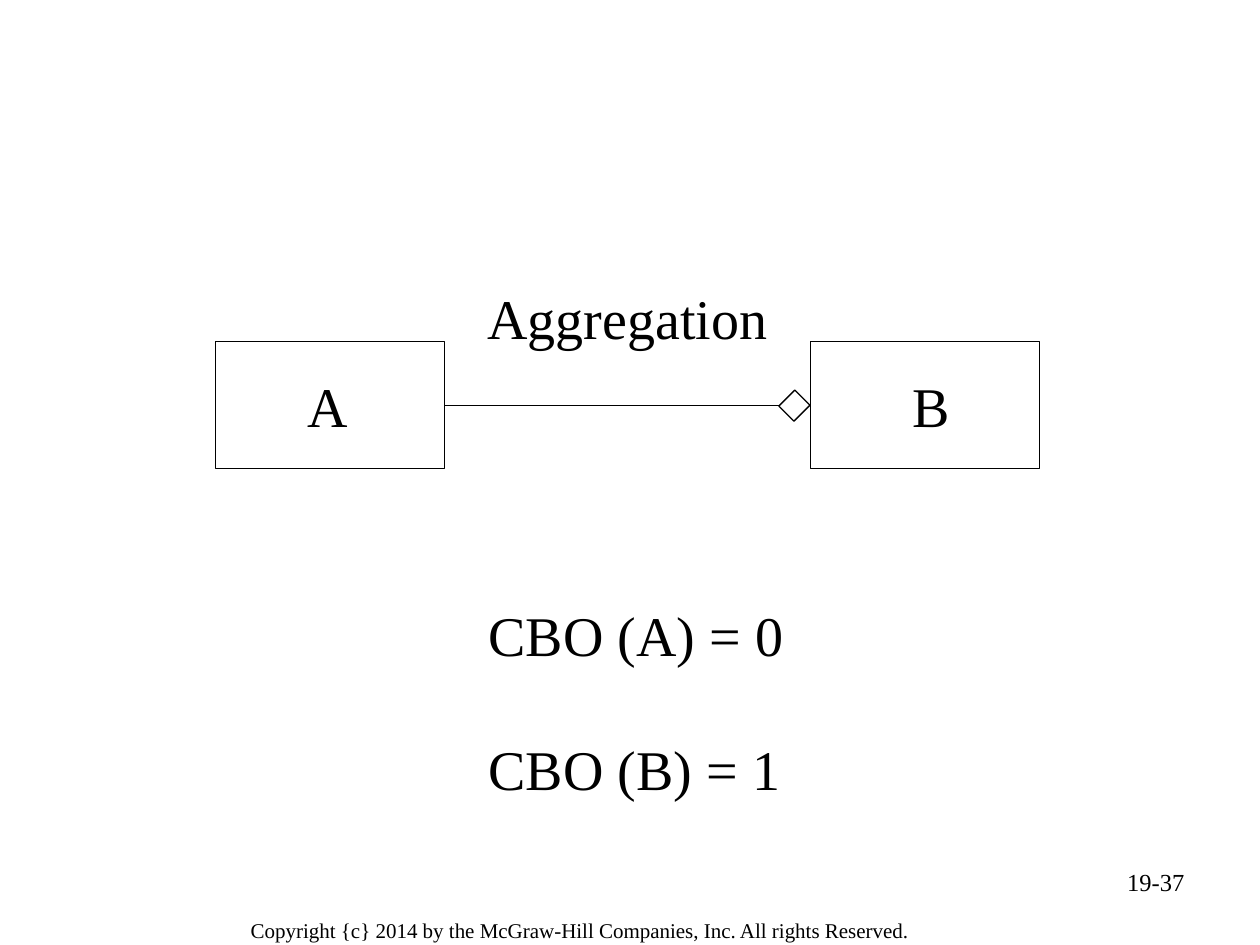
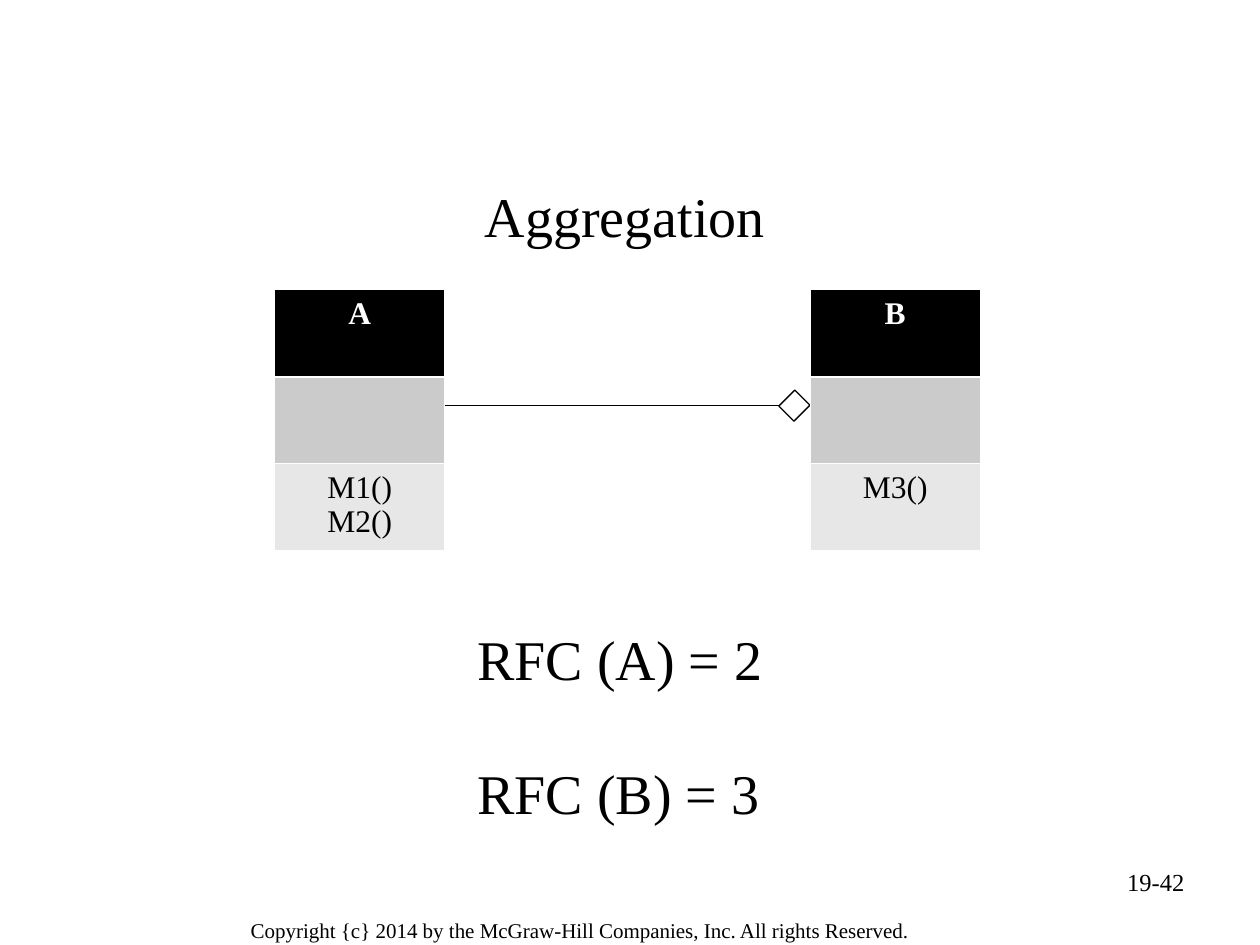
from dataclasses import dataclass

from lxml.etree import SubElement
from pptx import Presentation
from pptx.dml.color import RGBColor
from pptx.enum.shapes import MSO_CONNECTOR as Connector, MSO_SHAPE as Shape
from pptx.enum.text import MSO_AUTO_SIZE as AutoSize, PP_ALIGN as Align
from pptx.oxml.ns import qn
from pptx.util import Inches, Pt


@dataclass(frozen=True)
class Theme:
    font: str = "Times New Roman"
    ink: str = "000000"
    paper: str = "FFFFFF"
    attributes: str = "CBCBCB"
    methods: str = "E7E7E7"
    label_size: int = 32
    class_size: int = 18
    number_size: int = 14
    copyright_size: int = 12
    line: float = 0.75
    thin_border: float = 0.45
    header_border: float = 1.47
    result_gap: int = 38


THEME = Theme()
COPYRIGHT = ("Copyright {c} 2014 by the McGraw-Hill Companies, Inc. "
             "All rights Reserved.")

# Shared geometry of the class diagrams
A_RIGHT, B_LEFT, LINK_Y = 3.53, 6.43, 3.22
BOX_TOP, BOX_WIDTH, BOX_HEIGHT = 2.71, 1.82, 1.01
TABLE_TOP, TABLE_WIDTH, ROW_HEIGHT = 2.3, 1.35, 0.69


def rgb(color):
    return RGBColor.from_string(color)


def write(frame, lines, size=THEME.label_size, color=THEME.ink, bold=False,
          align=Align.LEFT, gap=0):
    """Fill a text frame, one paragraph per line."""
    for index, line in enumerate(lines):
        paragraph = frame.add_paragraph() if index else frame.paragraphs[0]
        paragraph.text = line
        paragraph.alignment = align
        if index:
            paragraph.space_before = Pt(gap)
        for run in paragraph.runs:
            run.font.name = THEME.font
            run.font.size = Pt(size)
            run.font.bold = bold
            run.font.color.rgb = rgb(color)


def add_text(slide, at, *lines, margins=(0.1, 0.05), **text_format):
    frame = slide.shapes.add_textbox(*map(Inches, at)).text_frame
    frame.word_wrap = True
    frame.auto_size = AutoSize.NONE
    frame.margin_left = frame.margin_right = Inches(margins[0])
    frame.margin_top = frame.margin_bottom = Inches(margins[1])
    write(frame, lines, **text_format)


def add_rectangle(slide, at, fill=None, rotation=0):
    rectangle = slide.shapes.add_shape(Shape.RECTANGLE, *map(Inches, at))
    rectangle.shadow.inherit = False
    rectangle.rotation = rotation
    rectangle.line.color.rgb = rgb(THEME.ink)
    rectangle.line.width = Pt(THEME.line)
    if fill:
        rectangle.fill.solid()
        rectangle.fill.fore_color.rgb = rgb(fill)
    else:
        rectangle.fill.background()


def add_link(slide):
    """Line from class A to class B."""
    link = slide.shapes.add_connector(
        Connector.STRAIGHT, Inches(A_RIGHT), Inches(LINK_Y),
        Inches(B_LEFT), Inches(LINK_Y))
    link.line.color.rgb = rgb(THEME.ink)
    link.line.width = Pt(THEME.line)
    outline = link.line._get_or_add_ln()
    SubElement(outline, qn("a:tailEnd"), type="triangle")
    SubElement(link._element.spPr, qn("a:effectLst"))


def add_diamond(slide):
    add_rectangle(slide, (6.22, 3.13, 0.17, 0.18), THEME.paper, rotation=45)


def add_border(cell, side, width):
    properties = cell._tc.get_or_add_tcPr()
    border = SubElement(properties, qn(f"a:ln{side}"), w=str(int(Pt(width))))
    paint = SubElement(border, qn("a:solidFill"))
    SubElement(paint, qn("a:srgbClr"), val=THEME.paper)


def add_class_table(slide, left, name, methods):
    """Class with a name row, an empty attribute row and a method row."""
    rows = [(name, THEME.ink, THEME.paper), ("", THEME.attributes, THEME.ink),
            (methods, THEME.methods, THEME.ink)]
    table = slide.shapes.add_table(
        len(rows), 1, Inches(left), Inches(TABLE_TOP),
        Inches(TABLE_WIDTH), Inches(ROW_HEIGHT * len(rows))).table
    table.first_row = table.horz_banding = False
    thick_sides = {0: "B", 1: "T"}
    for index, (text, fill, color) in enumerate(rows):
        cell = table.cell(index, 0)
        for side in "LRTB":
            thick = thick_sides.get(index) == side
            add_border(cell, side,
                       THEME.header_border if thick else THEME.thin_border)
        cell.fill.solid()
        cell.fill.fore_color.rgb = rgb(fill)
        write(cell.text_frame, [text], size=THEME.class_size, color=color,
              bold=index == 0, align=Align.CENTER)


def add_slide(deck, number):
    """Blank slide with the copyright line and the page number."""
    slide = deck.slides.add_slide(deck.slide_layouts[6])
    add_text(slide, (1.88, 7.22, 6.19, 0.31), COPYRIGHT,
             margins=(0.11, 0.06), size=THEME.copyright_size)
    add_text(slide, (7.17, 6.83, 2.33, 0.52), number,
             size=THEME.number_size, align=Align.RIGHT)
    return slide


def add_coupling_slide(deck):
    slide = add_slide(deck, "19-37")
    for left in (A_RIGHT - BOX_WIDTH, B_LEFT):
        add_rectangle(slide, (left, BOX_TOP, BOX_WIDTH, BOX_HEIGHT))
    add_link(slide)
    add_text(slide, (2.34, 2.9, 0.6, 0.64), "A")
    add_text(slide, (7.14, 2.9, 0.6, 0.64), "B")
    add_diamond(slide)
    add_text(slide, (3.77, 2.2, 2.55, 0.64), "Aggregation")
    add_text(slide, (3.78, 4.72, 2.65, 1.7), "CBO (A) = 0", "CBO (B) = 1",
             gap=THEME.result_gap)


def add_response_slide(deck):
    slide = add_slide(deck, "19-42")
    add_link(slide)
    add_diamond(slide)
    add_text(slide, (3.75, 1.39, 2.55, 0.64), "Aggregation")
    add_class_table(slide, A_RIGHT - TABLE_WIDTH, "A", "M1()\vM2()")
    add_class_table(slide, B_LEFT, "B", "M3()")
    add_text(slide, (3.69, 4.91, 2.65, 1.7), "RFC (A) = 2", "RFC (B) = 3",
             gap=THEME.result_gap)


def main():
    deck = Presentation()
    deck.slide_width, deck.slide_height = Inches(10), Inches(7.5)
    add_coupling_slide(deck)
    add_response_slide(deck)
    deck.save("out.pptx")


if __name__ == "__main__":
    main()
